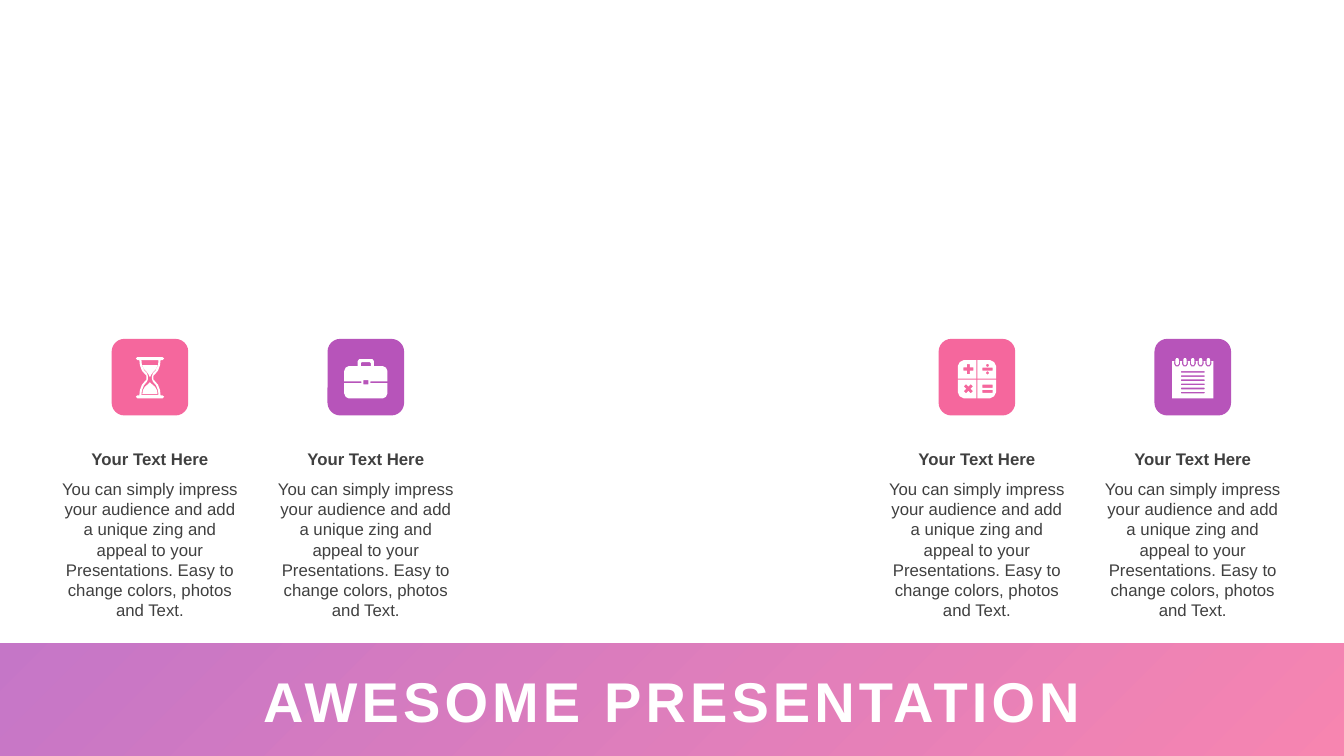
"""Build the "Awesome presentation" slide: four icon columns above a gradient title band."""
from lxml import etree
from pptx import Presentation
from pptx.dml.color import RGBColor
from pptx.enum.shapes import MSO_SHAPE
from pptx.enum.text import MSO_ANCHOR, PP_ALIGN
from pptx.oxml.ns import qn
from pptx.util import Cm, Pt

RECTANGLE, ROUNDED = MSO_SHAPE.RECTANGLE, MSO_SHAPE.ROUNDED_RECTANGLE
CENTER, MIDDLE = PP_ALIGN.CENTER, MSO_ANCHOR.MIDDLE
PINK, PURPLE, WHITE, GREY = "F5679D", "B754BA", "FFFFFF", "404040"
HEADING = "Your Text Here"
BODY = ("You can simply impress your audience and add a unique zing and appeal to your "
        "Presentations. Easy to change colors, photos and Text.")
TILE_SIZE, TILE_TOP = 1.93, 8.54
COLUMN_WIDTH = 5
ICON_SCALE = Cm(2.54) / 10000


def paint(color, value):
    color.rgb = RGBColor.from_string(value)


def add_text(left, top, width, height, text, size, color, bold):
    box = page.shapes.add_textbox(Cm(left), Cm(top), Cm(width), Cm(height))
    box.text_frame.word_wrap = True
    para = box.text_frame.paragraphs[0]
    para.alignment = CENTER
    span = para.add_run()
    span.text = text
    span.font.name, span.font.size, span.font.bold = "Arial", Pt(size), bold
    paint(span.font.color, color)
    return box, span


deck = Presentation()
deck.slide_width, deck.slide_height = Cm(33.87), Cm(19.05)
page = deck.slides.add_slide(deck.slide_layouts[6])

band = page.shapes.add_shape(RECTANGLE, 0, Cm(16.22), deck.slide_width, Cm(2.83))
band.shadow.inherit = False
band.line.fill.background()
band.fill.gradient()
band.fill.gradient_angle = 135
for stop, shade in zip(band.fill.gradient_stops, (PINK, PURPLE)):
    paint(stop.color, shade)
for shade in band.element.spPr.iter(qn("a:srgbClr")):
    etree.SubElement(shade, qn("a:alpha"), val="80000")

title, title_span = add_text(0, 16.66, 33.87, 1.96, "AWESOME PRESENTATION", 40, WHITE, True)
title.text_frame.vertical_anchor = MIDDLE
title_span._r.get_or_add_rPr().set("spc", "300")

# Icon outlines: hundredths of an inch from the tile's top centre; halves from x=0 are mirrored.
hourglass = [
    [(0, 18), (12.5, 18), (14, 19.5), (12.5, 21), (10.5, 21), (10, 26), (8, 31.5), (5, 35),
     (3.5, 36.5), (3.5, 40.5), (5, 42), (8, 45.5), (10, 51), (10.5, 56), (12.5, 56),
     (14, 57.5), (12.5, 59), (0, 59)],
    [(0, 21), (8.5, 21), (8, 26), (6, 31), (3, 34), (2, 37), (2, 40), (3, 42.5), (6, 46),
     (8, 51), (8.5, 55.5), (0, 55.5)],
    [(0, 26), (7.5, 26), (6, 30), (3, 33), (1.5, 35), (0, 38)],
    [(0, 43), (2, 45), (5, 47.5), (7, 51), (7.5, 54.5), (0, 54.5)],
]
briefcase = [
    [(0, 20), (6.5, 20), (8, 22), (8, 27), (17, 27), (20, 28.5), (21.5, 32), (21.5, 42),
     (4.5, 42), (4.5, 43.8), (21.5, 43.8), (21.5, 54), (20, 57.5), (17, 59), (0, 59)],
    [(0, 23), (4, 23), (5, 24), (5, 27), (0, 27)],
    [(0, 41), (2.5, 41), (2.5, 45), (0, 45)],
]

plus = [(-5, -1.6), (-1.6, -1.6), (-1.6, -5), (1.6, -5), (1.6, -1.6), (5, -1.6),
        (5, 1.6), (1.6, 1.6), (1.6, 5), (-1.6, 5), (-1.6, 1.6), (-5, 1.6)]
quadrant = [(0.5, 0.5), (19, 0.5), (19, 13), (17, 17), (13, 19), (0.5, 19)]
dot = [(-0.6, -1.4), (0.6, -1.4), (1.4, -0.6), (1.4, 0.6),
       (0.6, 1.4), (-0.6, 1.4), (-1.4, 0.6), (-1.4, -0.6)]
calculator = [[(x * side, 40 + y * level) for x, y in quadrant]
              for side in (-1, 1) for level in (-1, 1)]
calculator.append([(x - 8.5, y + 30) for x, y in plus])
calculator.append([((x - y) * 0.7 - 8.5, (x + y) * 0.7 + 49.5) for x, y in plus])
calculator += [[(x + 10.5, y + middle) for x, y in dot] for middle in (26.3, 33.7)]
calculator += [[(5.5, top), (15.5, top), (15.5, top + 3), (5.5, top + 3)]
               for top in (28.5, 45.5, 50.5)]

notepad = [[(0, 22), (20.5, 22), (20.5, 59), (0, 59)]]
for row in range(6):
    top = 32 + 4.1 * row
    notepad.append([(0, top), (11.5, top), (12, top + 0.8), (11.5, top + 1.6), (0, top + 1.6)])
for ring in range(-2, 3):
    x = 7.75 * ring
    notepad.append([(x - 3, 22), (x + 3, 22), (x + 3, 25), (x + 1.5, 27.2),
                    (x - 1.5, 27.2), (x - 3, 25)])
    notepad.append([(x - 1.7, 20.5), (x - 0.8, 19), (x + 0.8, 19), (x + 1.7, 20.5),
                    (x + 1.7, 24.5), (x + 0.8, 26), (x - 0.8, 26), (x - 1.7, 24.5)])

columns = [(3.78, PINK, hourglass), (9.22, PURPLE, briefcase),
           (24.62, PINK, calculator), (30.06, PURPLE, notepad)]
for center, tile_color, outlines in columns:
    tile = page.shapes.add_shape(ROUNDED, Cm(center - TILE_SIZE / 2), Cm(TILE_TOP),
                                 Cm(TILE_SIZE), Cm(TILE_SIZE))
    contours = []
    for outline in outlines:
        if outline[0][0] == 0 == outline[-1][0]:
            outline = outline + [(-x, y) for x, y in reversed(outline)]
        contours.append([(x * 100, y * 100) for x, y in outline])
    builder = page.shapes.build_freeform(*contours[0][0], scale=ICON_SCALE)
    for number, contour in enumerate(contours):
        if number:
            builder.move_to(*contour[0])
        builder.add_line_segments(contour[1:], close=True)
    icon = builder.convert_to_shape(Cm(center), Cm(TILE_TOP))
    for shape, color in ((tile, tile_color), (icon, WHITE)):
        shape.shadow.inherit = False
        shape.line.fill.background()
        shape.fill.solid()
        paint(shape.fill.fore_color, color)
    left = center - COLUMN_WIDTH / 2
    add_text(left, 11.18, COLUMN_WIDTH, 0.77, HEADING, 12, GREY, True)
    add_text(left, 11.94, COLUMN_WIDTH, 3.84, BODY, 12, GREY, False)

deck.save("out.pptx")
